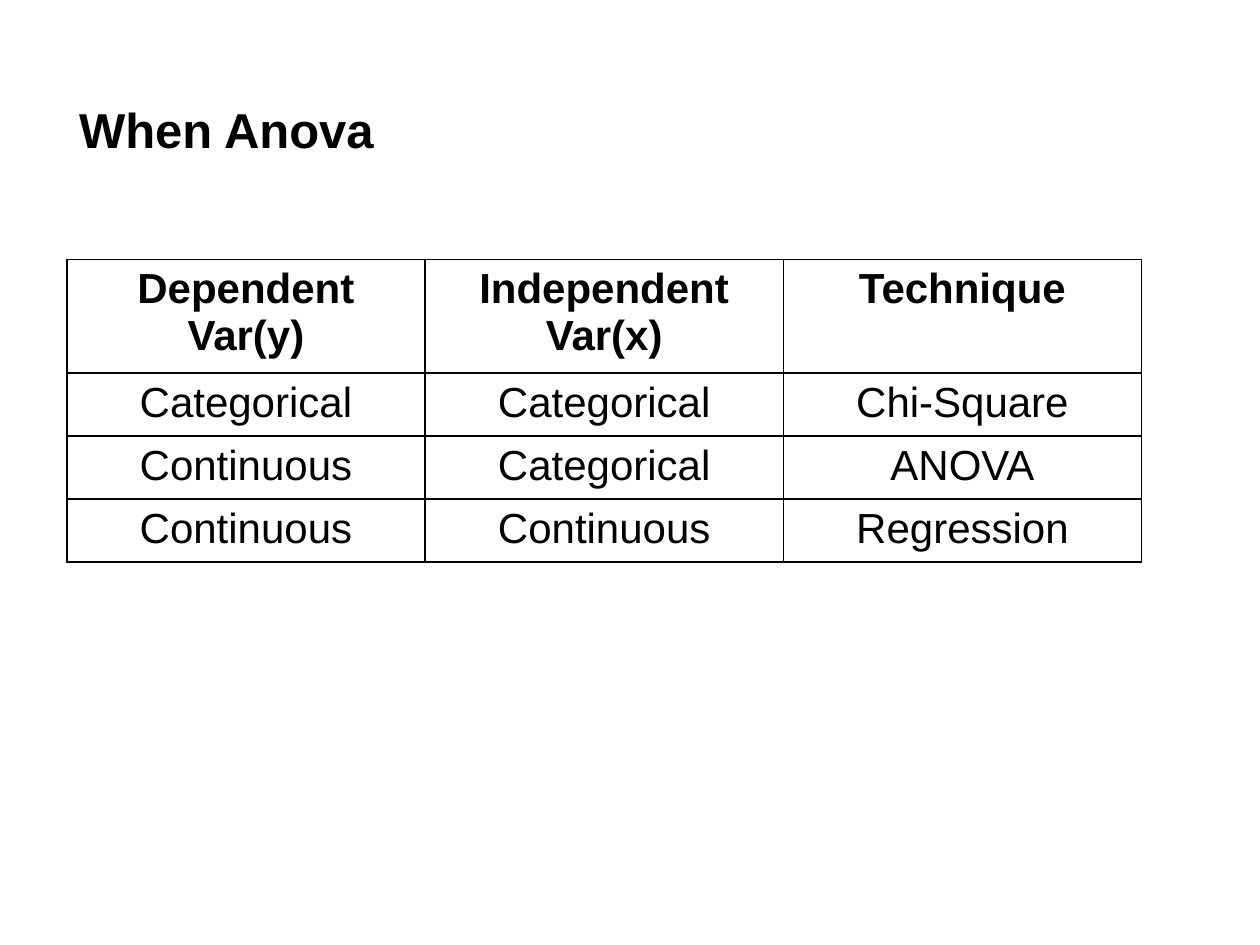
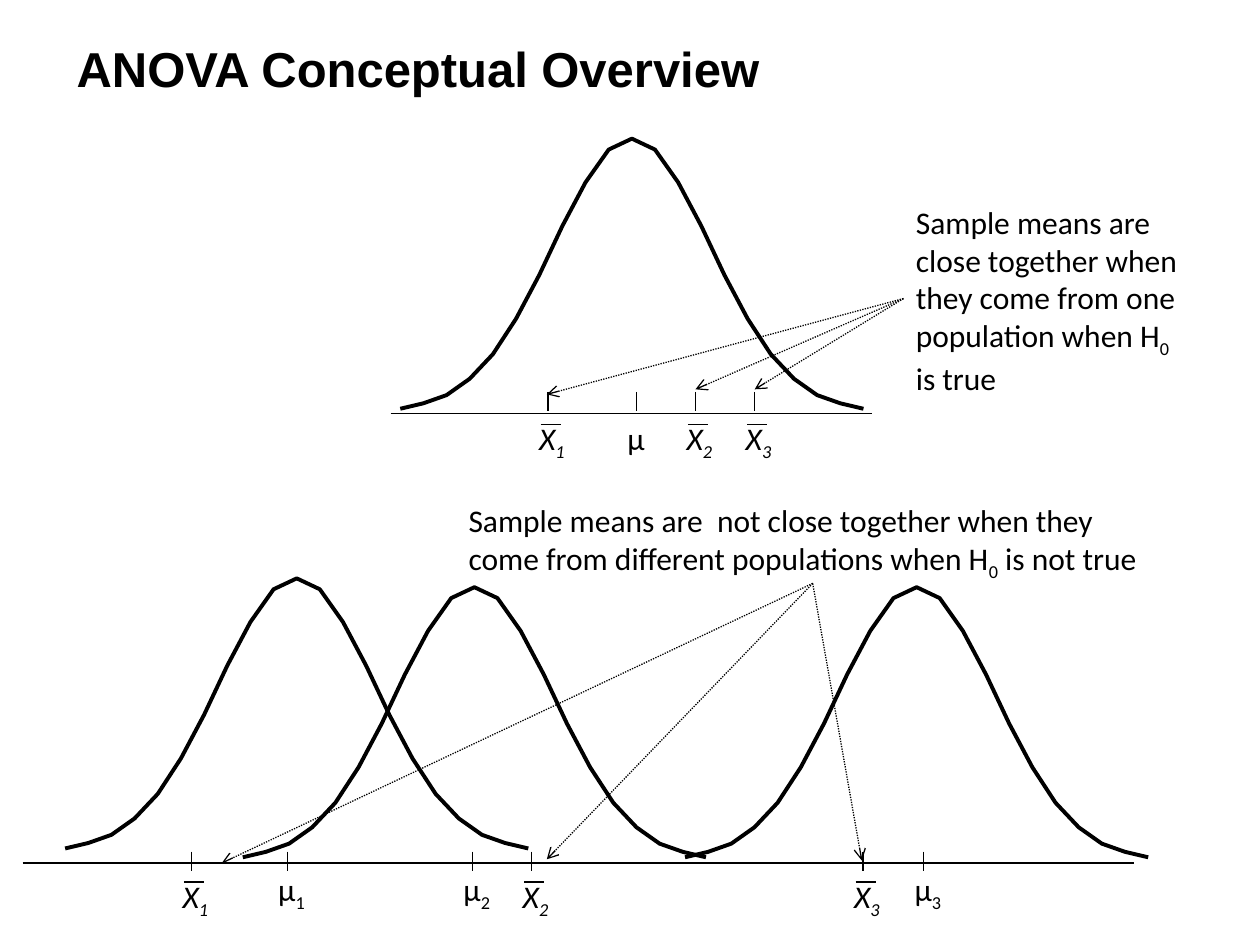
from dataclasses import dataclass

from pptx import Presentation
from pptx.chart.data import XyChartData
from pptx.dml.color import RGBColor
from pptx.enum.chart import XL_CHART_TYPE
from pptx.enum.dml import MSO_LINE
from pptx.enum.shapes import MSO_CONNECTOR
from pptx.enum.text import MSO_AUTO_SIZE, PP_ALIGN
from pptx.oxml import parse_xml
from pptx.oxml.ns import nsdecls, qn
from pptx.util import Inches, Pt
from lxml.etree import SubElement


@dataclass(frozen=True)
class Theme:
    ink: RGBColor = RGBColor(0, 0, 0)
    head: str = "Arial"
    body: str = "Calibri"
    title: int = 28
    cell: int = 24
    note: int = 18
    axis: int = 10
    thin: float = 0.75
    edge: float = 1
    curve: float = 2.25


THEME = Theme()
RISE = [1, 3, 6, 12, 21, 34, 50, 68, 84, 96]
BELL = RISE + [100] + RISE[::-1]
ROWS = [
    ["Dependent Var(y)", "Independent Var(x)", "Technique"],
    ["Categorical", "Categorical", "Chi-Square"],
    ["Continuous", "Categorical", "ANOVA"],
    ["Continuous", "Continuous", "Regression"],
]


def add_run(para, text, font, size, bold=False, slant=False, sub=False):
    run = para.add_run()
    run.text = text
    run.font.name = font
    run.font.size = Pt(size)
    run.font.bold = bold
    run.font.italic = slant
    run.font.color.rgb = THEME.ink
    if sub:
        run.font._element.set("baseline", "-25000")


def add_box(slide, left, top, width, height, wrap=True):
    box = slide.shapes.add_textbox(*map(Inches, (left, top, width, height)))
    frame = box.text_frame
    frame.word_wrap = wrap
    frame.auto_size = MSO_AUTO_SIZE.SHAPE_TO_FIT_TEXT
    return frame.paragraphs[0]


def add_title(slide, text, left, top):
    para = add_box(slide, left, top, 5.99, 0.57)
    add_run(para, text, THEME.head, THEME.title, bold=True)


def add_note(slide, start, end, *place):
    para = add_box(slide, *place)
    for text, sub in ((start, False), ("0", True), (end, False)):
        add_run(para, text, THEME.body, THEME.note, sub=sub)


def add_line(slide, start, end, arrow=False):
    line = slide.shapes.add_connector(
        MSO_CONNECTOR.STRAIGHT, *map(Inches, (*start, *end)))
    line.line.color.rgb = THEME.ink
    line.line.width = Pt(THEME.thin)
    if arrow:
        line.line.dash_style = MSO_LINE.ROUND_DOT
        SubElement(line.line._get_or_add_ln(), qn("a:tailEnd"), type="arrow")
    SubElement(line._element.spPr, qn("a:effectLst"))


def add_fan(slide, start, ends):
    for end in ends:
        add_line(slide, start, end, arrow=True)


def add_mark(slide, x, tick, top, sign, index=""):
    add_line(slide, (x, tick), (x, tick + 0.15))
    left = x - 0.17
    para = add_box(slide, left, top, 0.42, 0.4, wrap=False)
    mean = sign == "X"
    add_run(para, sign, THEME.body, THEME.note, slant=mean)
    if index:
        add_run(para, index, THEME.body, THEME.note, slant=mean, sub=True)
    if mean:
        add_line(slide, (left + 0.11, top + 0.09), (left + 0.27, top + 0.09))


def clear_fill():
    return parse_xml(f'<c:spPr {nsdecls("c", "a")}><a:noFill/>'
                     '<a:ln><a:noFill/></a:ln></c:spPr>')


def set_plot(chart):
    space = chart._chartSpace
    area = space.find(".//" + qn("c:plotArea"))
    for old in area.findall(qn("c:layout")):
        area.remove(old)
    frame = parse_xml(
        f'<c:layout {nsdecls("c")}><c:manualLayout>'
        '<c:layoutTarget val="inner"/><c:xMode val="edge"/><c:yMode val="edge"/>'
        '<c:x val="0.02"/><c:y val="0.03"/><c:w val="0.96"/><c:h val="0.94"/>'
        '</c:manualLayout></c:layout>')
    area.insert(0, frame)
    area.append(clear_fill())
    space.find(qn("c:chart")).addnext(clear_fill())


def add_bell(slide, left, top):
    data = XyChartData()
    points = data.add_series("Series 1")
    for step, value in enumerate(BELL):
        points.add_data_point(round(step * 0.05, 2), value)
    chart = slide.shapes.add_chart(
        XL_CHART_TYPE.XY_SCATTER_SMOOTH_NO_MARKERS,
        *map(Inches, (left, top, 3.83, 2.42)), data).chart
    chart.has_legend = False
    chart.has_title = False
    chart.font.name = THEME.body
    chart.font.size = Pt(THEME.axis)
    chart.font.color.rgb = THEME.ink
    for axis, limit in ((chart.category_axis, 1), (chart.value_axis, 105)):
        axis.minimum_scale = 0
        axis.maximum_scale = limit
        axis.has_major_gridlines = False
        axis.visible = False
    plot = chart.plots[0]
    plot.vary_by_categories = False
    curve = plot.series[0]
    curve.smooth = True
    curve.format.line.color.rgb = THEME.ink
    curve.format.line.width = Pt(THEME.curve)
    set_plot(chart)


def set_edges(cell):
    props = cell._tc.get_or_add_tcPr()
    for side in ("lnL", "lnR", "lnT", "lnB"):
        line = SubElement(props, qn("a:" + side), w=str(Pt(THEME.edge)))
        fill = SubElement(line, qn("a:solidFill"))
        SubElement(fill, qn("a:srgbClr"), val=str(THEME.ink))


def add_grid(slide, rows, left, top, width, heights):
    table = slide.shapes.add_table(
        len(rows), len(rows[0]),
        *map(Inches, (left, top, width, sum(heights)))).table
    table.horz_banding = False
    table.first_row = False
    for r, (row, height) in enumerate(zip(rows, heights)):
        table.rows[r].height = Inches(height)
        for c, text in enumerate(row):
            cell = table.cell(r, c)
            set_edges(cell)
            cell.fill.background()
            para = cell.text_frame.paragraphs[0]
            para.alignment = PP_ALIGN.CENTER
            add_run(para, text, THEME.head, THEME.cell, bold=r == 0)


def show_when(slide):
    add_title(slide, "When Anova", 0.53, 0.74)
    add_grid(slide, ROWS, 0.53, 2.06, 8.53, [0.9, 0.5, 0.5, 0.5])


def show_view(slide):
    add_title(slide, "ANOVA Conceptual Overview", 0.51, 0.26)
    for place in ((0.44, 4.41), (3.1, 0.92), (1.85, 4.48), (5.36, 4.48)):
        add_bell(slide, *place)
    add_line(slide, (3.1, 3.28), (6.92, 3.28))
    add_line(slide, (0.18, 6.85), (9, 6.85))

    add_mark(slide, 5.05, 3.11, 3.28, "µ")
    for index, x in enumerate((4.35, 5.52, 5.99), 1):
        add_mark(slide, x, 3.11, 3.28, "X", str(index))
    pairs = ((2.28, 1.52), (3.75, 4.22), (7.33, 6.85))
    for index, (centre, mean) in enumerate(pairs, 1):
        add_mark(slide, centre, 6.76, 6.86, "µ", str(index))
        add_mark(slide, mean, 6.76, 6.91, "X", str(index))

    add_note(slide, "Sample means are close together when they come from one "
             "population when H", " is true", 7.17, 1.56, 2.29, 1.62)
    add_fan(slide, (7.17, 2.37), ((4.34, 3.13), (5.52, 3.09), (5.99, 3.09)))
    add_note(slide, "Sample means are  not close together when they come from "
             "different populations when H", " is not true",
             3.62, 3.93, 5.65, 0.71)
    add_fan(slide, (6.45, 4.63), ((1.76, 6.85), (4.34, 6.82), (6.84, 6.83)))


def main():
    deck = Presentation()
    deck.slide_width = Inches(10)
    deck.slide_height = Inches(7.5)
    for show in (show_when, show_view):
        show(deck.slides.add_slide(deck.slide_layouts[6]))
    deck.save("out.pptx")


if __name__ == "__main__":
    main()
